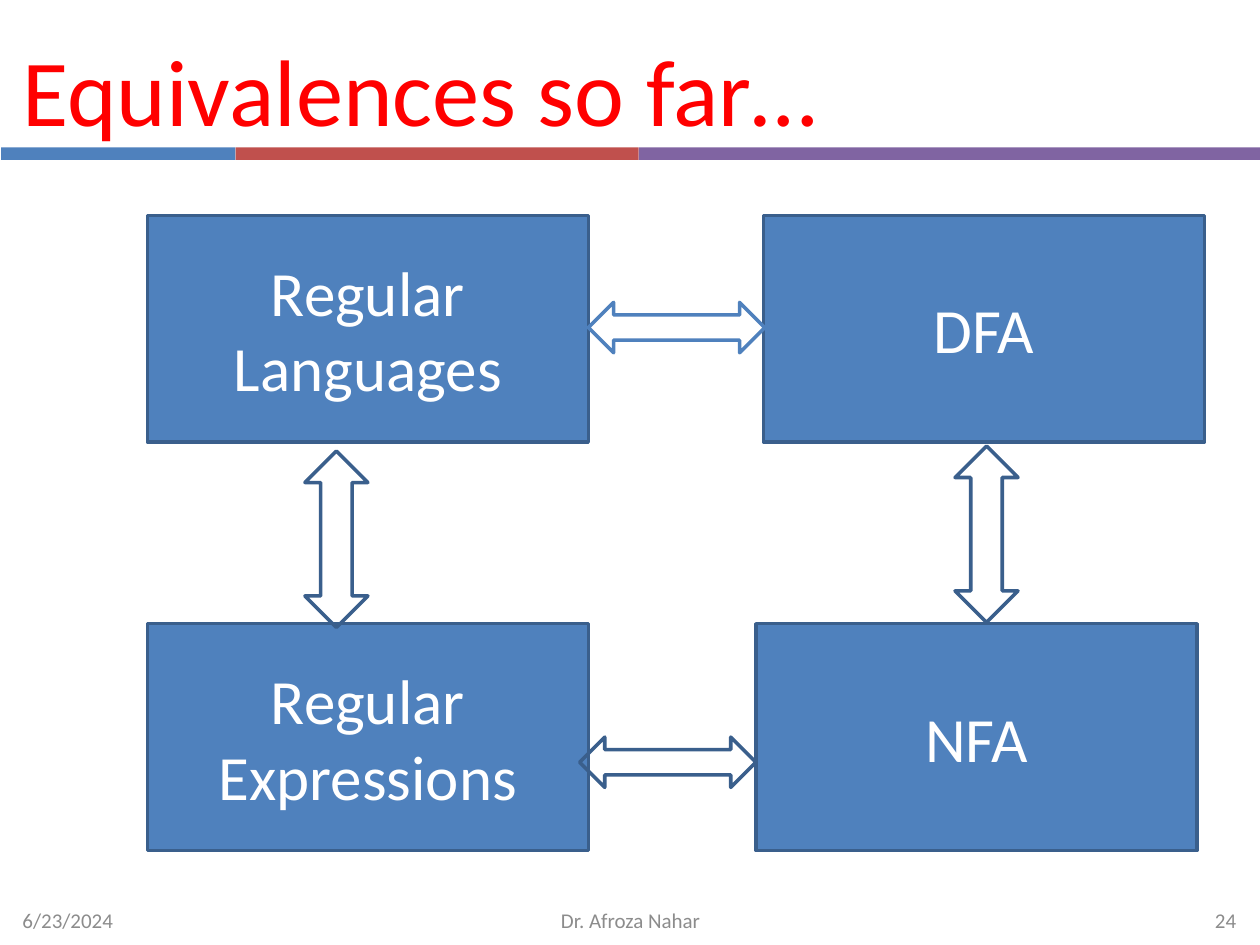
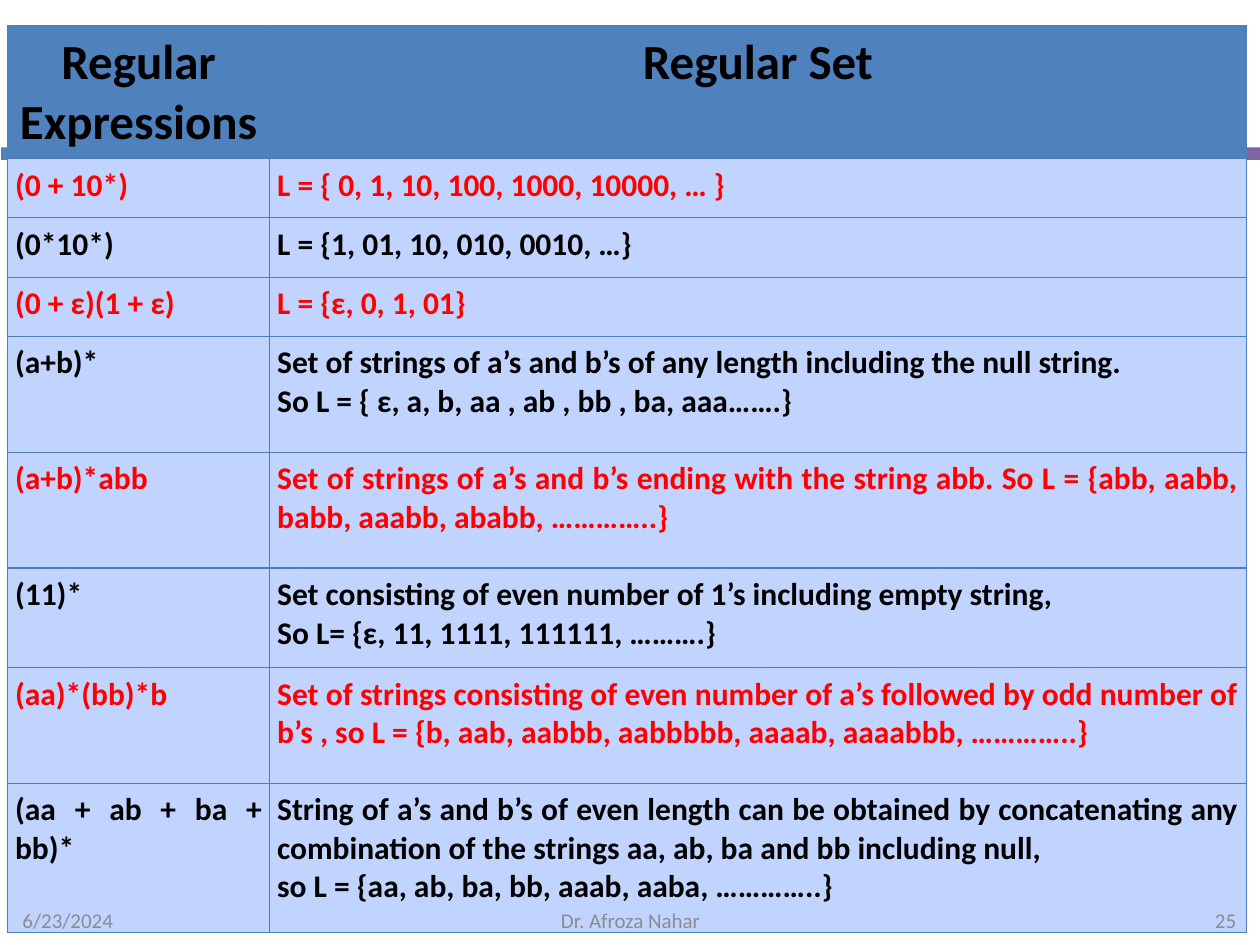
from pptx import Presentation
from pptx.dml.color import RGBColor
from pptx.enum.shapes import MSO_SHAPE as Shape
from pptx.enum.text import MSO_ANCHOR as Anchor, PP_ALIGN as Align
from pptx.oxml import parse_xml
from pptx.oxml.ns import nsdecls
from pptx.util import Inches, Pt

FONT = "Calibri"
HUES = {
    "blue": "4F81BD", "red": "C0504D", "purple": "8064A2",
    "edge": "3A5F8C", "grid": "4B7EBC", "pale": "C0D4FF",
    "title": "FF0000", "black": "000000", "white": "FFFFFF", "grey": "8C8C8C",
}
DATE, AUTHOR = "6/23/2024", "Dr. Afroza Nahar"
HEADS = ("Regular Expressions", "Regular Set")

# Expression, lines of its set, row height
SETS = [
    ("(0 + 10*)", "L = { 0, 1, 10, 100, 1000, 10000, … }", 0.47),
    ("(0*10*)", "L = {1, 01, 10, 010, 0010, …}", 0.47),
    ("(0 + ε)(1 + ε)", "L = {ε, 0, 1, 01}", 0.47),
    ("(a+b)*",
     "Set of strings of a’s and b’s of any length including the null string.\n"
     "So L = { ε, a, b, aa , ab , bb , ba, aaa…….}", 0.92),
    ("(a+b)*abb",
     "Set of strings of a’s and b’s ending with the string abb. "
     "So L = {abb, aabb, babb, aaabb, ababb, …………..}", 0.92),
    ("(11)*",
     "Set consisting of even number of 1’s including empty string,\n"
     "So L= {ε, 11, 1111, 111111, ……….}", 0.79),
    ("(aa)*(bb)*b",
     "Set of strings consisting of even number of a’s followed by odd number of "
     "b’s , so L = {b, aab, aabbb, aabbbbb, aaaab, aaaabbb, …………..}", 0.92),
    ("(aa + ab + ba + bb)*",
     "String of a’s and b’s of even length can be obtained by concatenating any "
     "combination of the strings aa, ab, ba and bb including null,\n"
     "so L = {aa, ab, ba, bb, aaab, aaba, …………..}", 1.18),
]


def color(name):
    return RGBColor.from_string(HUES[name])


def write(frame, text, size, hue, align=Align.LEFT, bold=False):
    frame.text = text
    frame.word_wrap = True
    for para in frame.paragraphs:
        para.alignment = align
        for run in para.runs:
            font = run.font
            font.name, font.size, font.bold = FONT, Pt(size), bold
            font.color.rgb = color(hue)


def label(slide, box, text, size, hue, align=Align.LEFT):
    frame = slide.shapes.add_textbox(*map(Inches, box)).text_frame
    write(frame, text, size, hue, align)
    frame.vertical_anchor = Anchor.MIDDLE


def block(slide, kind, box, fill=None, line=None):
    shape = slide.shapes.add_shape(kind, *map(Inches, box))
    shape.shadow.inherit = False
    if fill:
        shape.fill.solid()
        shape.fill.fore_color.rgb = color(fill)
    else:
        shape.fill.background()
    if line:
        shape.line.color.rgb = color(line)
        shape.line.width = Pt(2)
    else:
        shape.line.fill.background()
    return shape


# Parts shared by both slides
def band(slide, left=0.01, top=1.17):
    for hue, width in (("blue", 1.86), ("red", 3.2), ("purple", 4.93)):
        block(slide, Shape.RECTANGLE, (left, top, width, 0.1), hue)
        left += width


def footer(slide, number, top=7.1):
    for left, width, text, align in (
        (0.08, 2.33, DATE, Align.LEFT),
        (3.42, 3.17, AUTHOR, Align.CENTER),
        (7.58, 2.33, str(number), Align.RIGHT),
    ):
        label(slide, (left, top, width, 0.4), text, 12, "grey", align)


# Four models joined by double arrows
def models(slide, left, top):
    for dx, dy, text in (
        (0, 0, "Regular Languages"), (4.89, 0, "DFA"),
        (0, 3.24, "Regular Expressions"), (4.83, 3.24, "NFA"),
    ):
        box = (left + dx, top + dy, 3.5, 1.8)
        shape = block(slide, Shape.RECTANGLE, box, "blue", "edge")
        write(shape.text_frame, text, 36, "white", Align.CENTER)
        shape.text_frame.vertical_anchor = Anchor.MIDDLE

    tall = (Shape.UP_DOWN_ARROW, 0.5, 1.4)
    wide = (Shape.LEFT_RIGHT_ARROW, 1.4, 0.4)
    for (kind, width, height), dx, dy, line in (
        (tall, 6.41, 1.83, "edge"), (tall, 1.25, 1.87, "edge"),
        (wide, 3.5, 0.69, "blue"), (wide, 3.43, 4.14, "edge"),
    ):
        block(slide, kind, (left + dx, top + dy, width, height), line=line)


def border(cell):
    props = cell._tc.get_or_add_tcPr()
    for spot, side in enumerate("LRTB"):
        props.insert(spot, parse_xml(
            f'<a:ln{side} {nsdecls("a")} w="{Pt(0.75)}"><a:solidFill>'
            f'<a:srgbClr val="{HUES["grid"]}"/></a:solidFill></a:ln{side}>'))


def fill_cell(cell, text, size, hue, back, align):
    cell.margin_left = cell.margin_right = Inches(0.06)
    cell.margin_top = cell.margin_bottom = Inches(0.06)
    cell.fill.solid()
    cell.fill.fore_color.rgb = color(back)
    border(cell)
    write(cell.text_frame, text, size, hue, align, bold=True)


# Table of expressions and the sets they describe
def chart_sets(slide, left, top):
    cols = (2.08, 7.75)
    tall = [1.06] + [height for *_, height in SETS]
    box = (left, top, sum(cols), sum(tall))
    table = slide.shapes.add_table(
        len(tall), len(cols), *map(Inches, box)).table
    for col, width in zip(table.columns, cols):
        col.width = Inches(width)
    for row, height in zip(table.rows, tall):
        row.height = Inches(height)

    for cell, text in zip(table.rows[0].cells, HEADS):
        fill_cell(cell, text, 28, "black", "blue", Align.CENTER)
    for row, (*texts, _) in enumerate(SETS, 1):
        hue = "title" if row % 2 else "black"
        for cell, text in zip(table.rows[row].cells, texts):
            fill_cell(cell, text, 18, hue, "pale", Align.JUSTIFY)


def start(deck):
    slide = deck.slides.add_slide(deck.slide_layouts[6])
    band(slide)
    return slide


def main():
    deck = Presentation()
    deck.slide_width, deck.slide_height = Inches(10), Inches(7.5)

    slide = start(deck)
    label(slide, (0.08, 0.08, 9, 1.25), "Equivalences so far…", 54, "title")
    models(slide, 1.17, 1.71)
    footer(slide, 24)

    slide = start(deck)
    chart_sets(slide, 0.06, 0.2)
    footer(slide, 25)

    deck.save("out.pptx")


if __name__ == "__main__":
    main()
